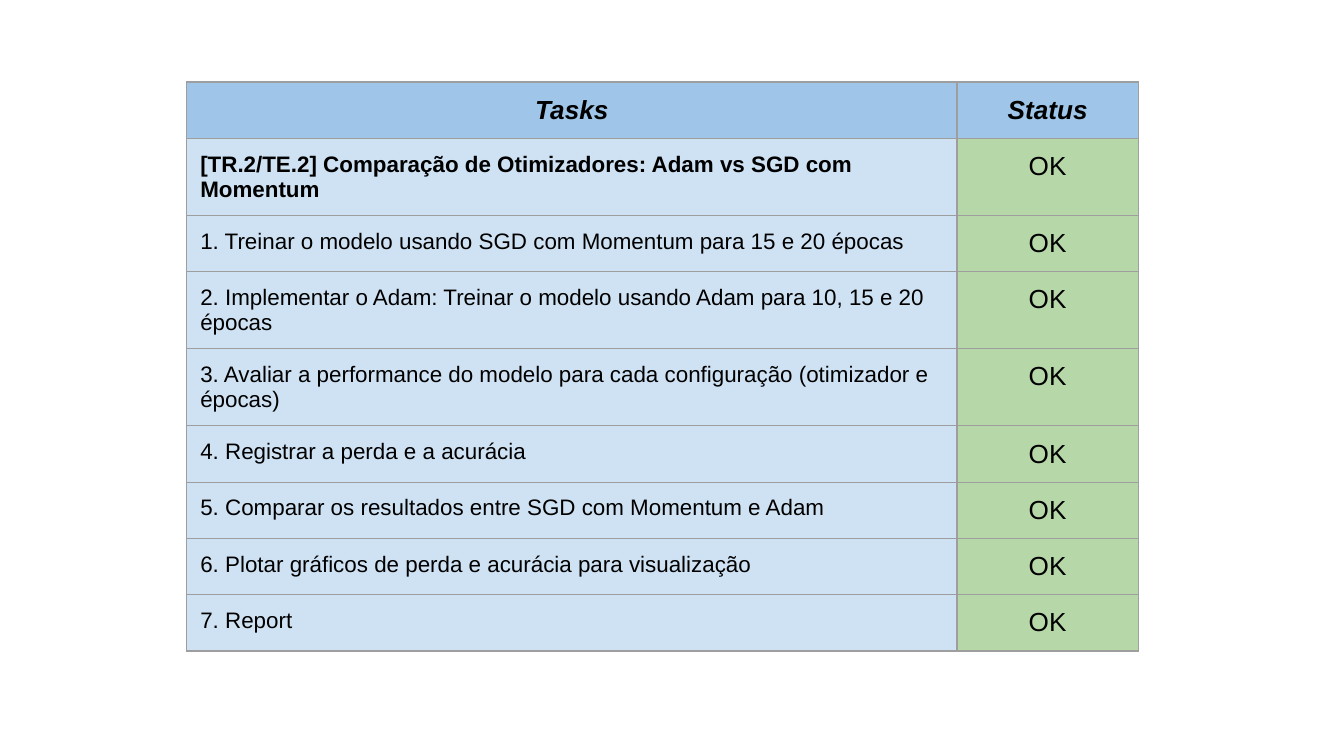
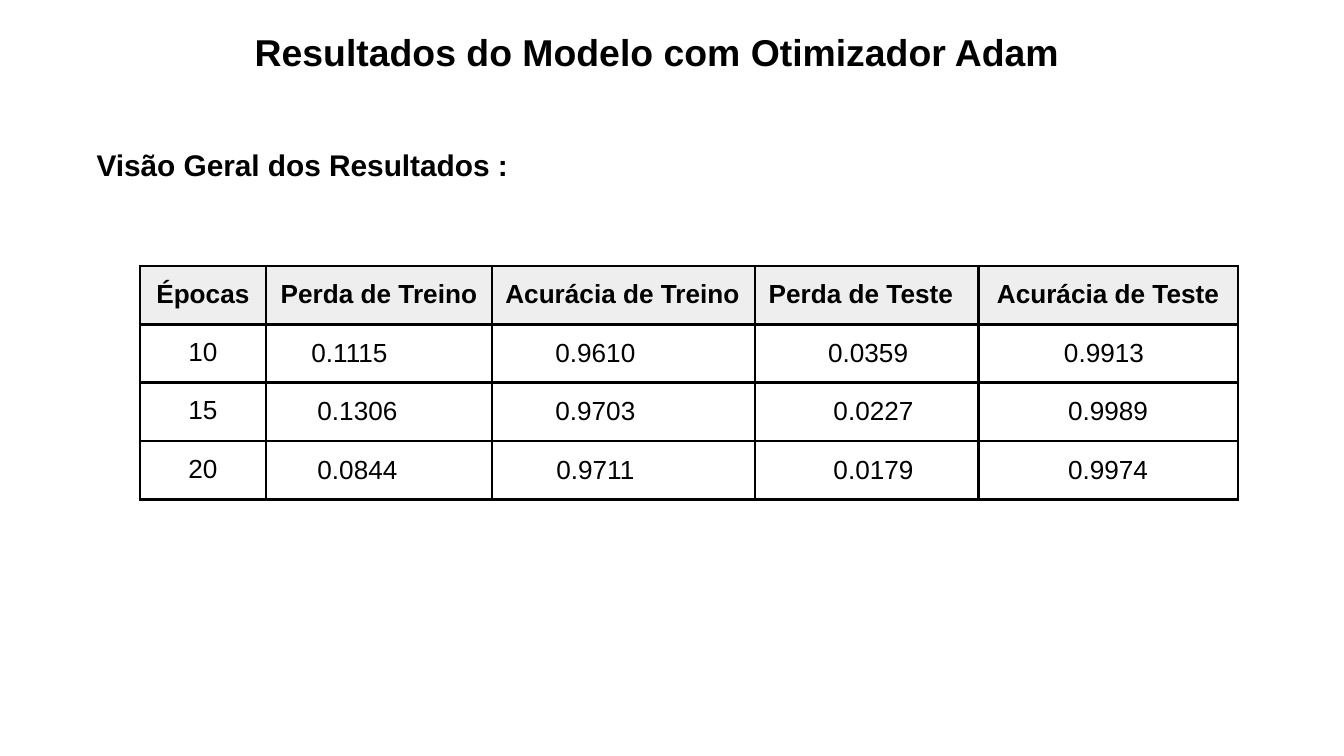
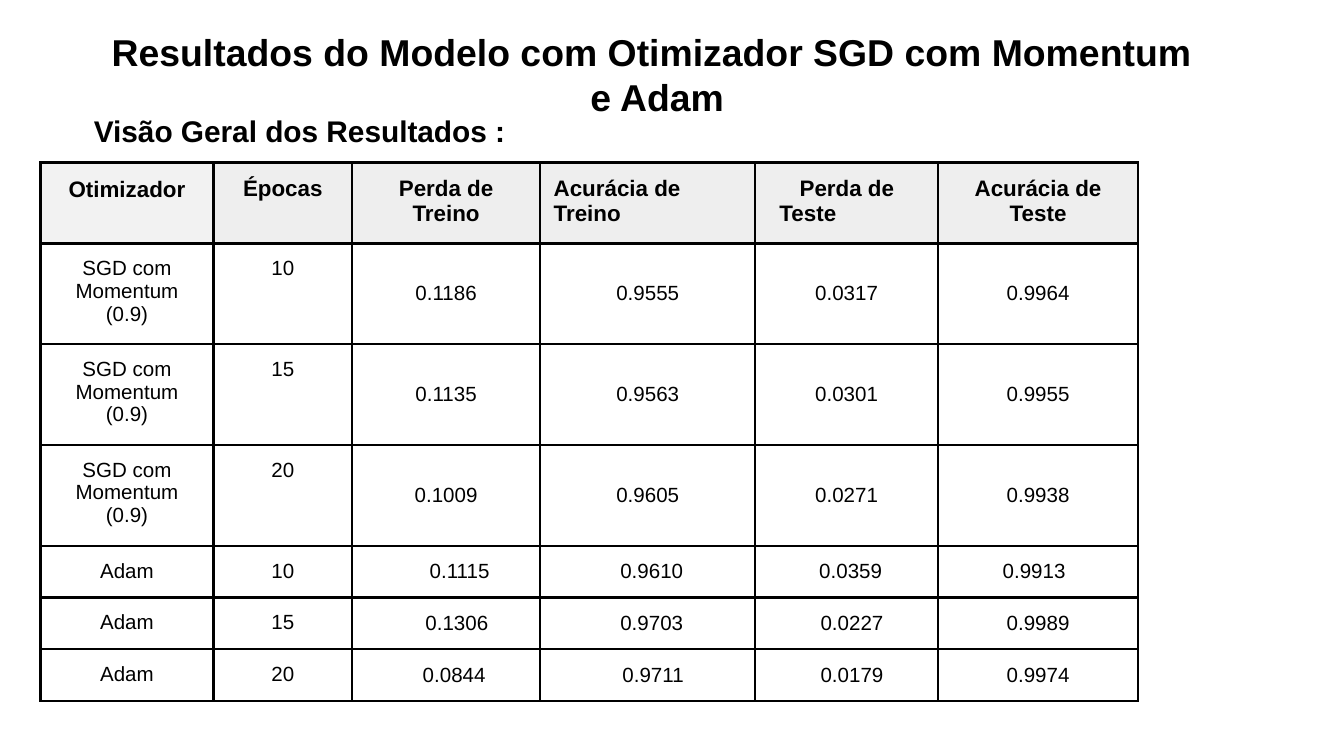
"""Build three slides that compare the Adam and SGD optimizers."""
from lxml import etree
from pptx import Presentation
from pptx.dml.color import RGBColor
from pptx.enum.text import MSO_ANCHOR, PP_ALIGN
from pptx.oxml.ns import qn
from pptx.util import Inches, Pt

LEFT, CENTER = PP_ALIGN.LEFT, PP_ALIGN.CENTER
TOP, MIDDLE = MSO_ANCHOR.TOP, MSO_ANCHOR.MIDDLE


class Theme:
    font = "Arial"
    ink = "000000"
    task_edge = "9E9E9E"
    task_header = "9FC5E8"
    task_fill = "CFE2F3"
    done_fill = "B6D7A8"
    result_header = "EEEEEE"
    optimizer_header = "F2F2F2"
    title_size = 20
    subtitle_size = 16
    large_size = 14
    medium_size = 12
    small_size = 11
    margin = 0.1


def write(frame, text, size, bold=False, italic=False, align=LEFT,
          indent=0, spacing=None, gap=None):
    frame.word_wrap = True
    for number, line in enumerate(text.split("\n")):
        para = frame.add_paragraph() if number else frame.paragraphs[0]
        para.alignment = align
        if indent:
            para._p.get_or_add_pPr().set("indent", str(Inches(indent)))
        if spacing:
            para.line_spacing = spacing
        if gap:
            para.space_before = para.space_after = Pt(gap)
        span = para.add_run()
        span.text = line
        span.font.name = Theme.font
        span.font.size = Pt(size)
        span.font.bold = bold
        span.font.italic = italic
        span.font.color.rgb = RGBColor.from_string(Theme.ink)


def add_grid(page, left, top, widths, heights, edge, edge_width):
    grid = page.shapes.add_table(
        len(heights), len(widths), Inches(left), Inches(top),
        Inches(sum(widths)), Inches(sum(heights))).table
    grid.first_row = grid.horz_banding = False
    for column, width in zip(grid.columns, widths):
        column.width = Inches(width)
    for row, height in zip(grid.rows, heights):
        row.height = Inches(height)
    for cell in grid.iter_cells():
        cell.margin_left = cell.margin_right = Inches(Theme.margin)
        cell.margin_top = cell.margin_bottom = Inches(Theme.margin)
        properties = cell._tc.get_or_add_tcPr()
        for side in ("a:lnL", "a:lnR", "a:lnT", "a:lnB"):
            line = etree.SubElement(properties, qn(side), w=str(Pt(edge_width)))
            paint = etree.SubElement(line, qn("a:solidFill"))
            etree.SubElement(paint, qn("a:srgbClr"), val=edge)
        cell.fill.background()
    return grid


deck = Presentation()
deck.slide_width = Inches(10)
deck.slide_height = Inches(10) * 9 // 16
blank = deck.slide_layouts[6]

tasks = [
    "[TR.2/TE.2] Comparação de Otimizadores: Adam vs SGD com Momentum",
    "1. Treinar o modelo usando SGD com Momentum para 15 e 20 épocas",
    "2. Implementar o Adam: Treinar o modelo usando Adam para 10, 15 e 20 épocas",
    "3. Avaliar a performance do modelo para cada configuração (otimizador e épocas)",
    "4. Registrar a perda e a acurácia",
    "5. Comparar os resultados entre SGD com Momentum e Adam",
    "6. Plotar gráficos de perda e acurácia para visualização",
    "7. Report",
]
one_line, two_lines = 0.41, 0.57
task_heights = [one_line] + [two_lines if len(task) > 63 else one_line for task in tasks]
page = deck.slides.add_slide(blank)
grid = add_grid(page, 1.39, 0.61, [5.73, 1.35], task_heights, Theme.task_edge, 0.75)
for column, heading in enumerate(["Tasks", "Status"]):
    cell = grid.cell(0, column)
    cell.fill.solid()
    cell.fill.fore_color.rgb = RGBColor.from_string(Theme.task_header)
    write(cell.text_frame, heading, Theme.large_size, bold=True, italic=True, align=CENTER)
for row, task in enumerate(tasks, 1):
    for column, color in enumerate([Theme.task_fill, Theme.done_fill]):
        cell = grid.cell(row, column)
        cell.fill.solid()
        cell.fill.fore_color.rgb = RGBColor.from_string(color)
    write(grid.cell(row, 0).text_frame, task, Theme.medium_size, bold=row == 1)
    write(grid.cell(row, 1).text_frame, "OK", Theme.large_size, align=CENTER)

metrics = ["Épocas", "Perda de Treino", "Acurácia de Treino", "Perda de Teste", "Acurácia de Teste"]
left_headings = ["Acurácia de Treino", "Perda de Teste"]
adam_results = [
    ["10", "0.1115", "0.9610", "0.0359", "0.9913"],
    ["15", "0.1306", "0.9703", "0.0227", "0.9989"],
    ["20", "0.0844", "0.9711", "0.0179", "0.9974"],
]
sgd_results = [
    ["10", "0.1186", "0.9555", "0.0317", "0.9964"],
    ["15", "0.1135", "0.9563", "0.0301", "0.9955"],
    ["20", "0.1009", "0.9605", "0.0271", "0.9938"],
]
result_pages = [
    {
        "title": "Resultados do Modelo com Otimizador Adam",
        "subtitle_at": (0.62, 0.99),
        "grid_at": (1.04, 1.98),
        "widths": [0.94, 1.68, 1.96, 1.66, 1.93],
        "heights": [0.43] * 4,
        "sizes": (Theme.large_size, Theme.large_size),
        "rows": [metrics] + adam_results,
        "shifts": [
            [0, -0.22, -0.21, 0.01, -0.03],
            [0, -0.16, -0.21, 0.05, 0],
            [0, -0.16, -0.21, 0.05, 0],
        ],
    },
    {
        "title": "Resultados do Modelo com Otimizador SGD com Momentum \ne Adam",
        "subtitle_at": (0.6, 0.74),
        "grid_at": (0.3, 1.21),
        "widths": [1.29, 1.03, 1.4, 1.6, 1.36, 1.49],
        "heights": [0.6] + [0.75] * 3 + [0.38] * 3,
        "sizes": (Theme.medium_size, Theme.small_size),
        "rows": [["Otimizador"] + metrics]
        + [["SGD com Momentum (0.9)"] + result for result in sgd_results]
        + [["Adam"] + result for result in adam_results],
        "shifts": [[0] * 6] * 3 + [
            [0, 0, 0.1, 0.03, 0.03, -0.03],
            [0, 0, 0.08, 0.03, 0.04, 0],
            [0, 0, 0.06, 0.04, 0.04, 0],
        ],
    },
]

for result in result_pages:
    page = deck.slides.add_slide(blank)
    headings = [
        (result["title"], (0.23, 0.12), (9.32, 0.87), Theme.title_size, CENTER),
        ("Visão Geral dos Resultados :", result["subtitle_at"], (6.67, 0.47),
         Theme.subtitle_size, LEFT),
    ]
    for text, (left, top), (width, height), size, align in headings:
        box = page.shapes.add_textbox(Inches(left), Inches(top), Inches(width), Inches(height))
        frame = box.text_frame
        frame.margin_left = frame.margin_right = Inches(Theme.margin)
        frame.margin_top = frame.margin_bottom = Inches(Theme.margin)
        write(frame, text, size, bold=True, align=align)

    grid = add_grid(page, *result["grid_at"], result["widths"], result["heights"], Theme.ink, 1.5)
    header_size, value_size = result["sizes"]
    for column, heading in enumerate(result["rows"][0]):
        cell = grid.cell(0, column)
        style = {"align": LEFT if heading in left_headings else CENTER}
        color = Theme.result_header
        if heading == "Otimizador":
            color = Theme.optimizer_header
            cell.margin_left = cell.margin_right = Inches(0.08)
            cell.margin_top = cell.margin_bottom = Inches(0.08)
            style.update(spacing=1.15, gap=15)
        elif heading == "Perda de Teste" and header_size == Theme.medium_size:
            cell.margin_left = Inches(0.18)
            style.update(indent=0.15)
        cell.fill.solid()
        cell.fill.fore_color.rgb = RGBColor.from_string(color)
        write(cell.text_frame, heading, header_size, bold=True, **style)

    first_value = result["rows"][0].index("Perda de Treino")
    for row, (values, shifts) in enumerate(zip(result["rows"][1:], result["shifts"]), 1):
        for column, (value, shift) in enumerate(zip(values, shifts)):
            cell = grid.cell(row, column)
            cell.vertical_anchor = MIDDLE if column >= first_value else TOP
            cell.margin_left = Inches(Theme.margin + 2 * max(shift, 0))
            cell.margin_right = Inches(Theme.margin + 2 * max(-shift, 0))
            write(cell.text_frame, value, value_size, align=CENTER)

deck.save("out.pptx")
